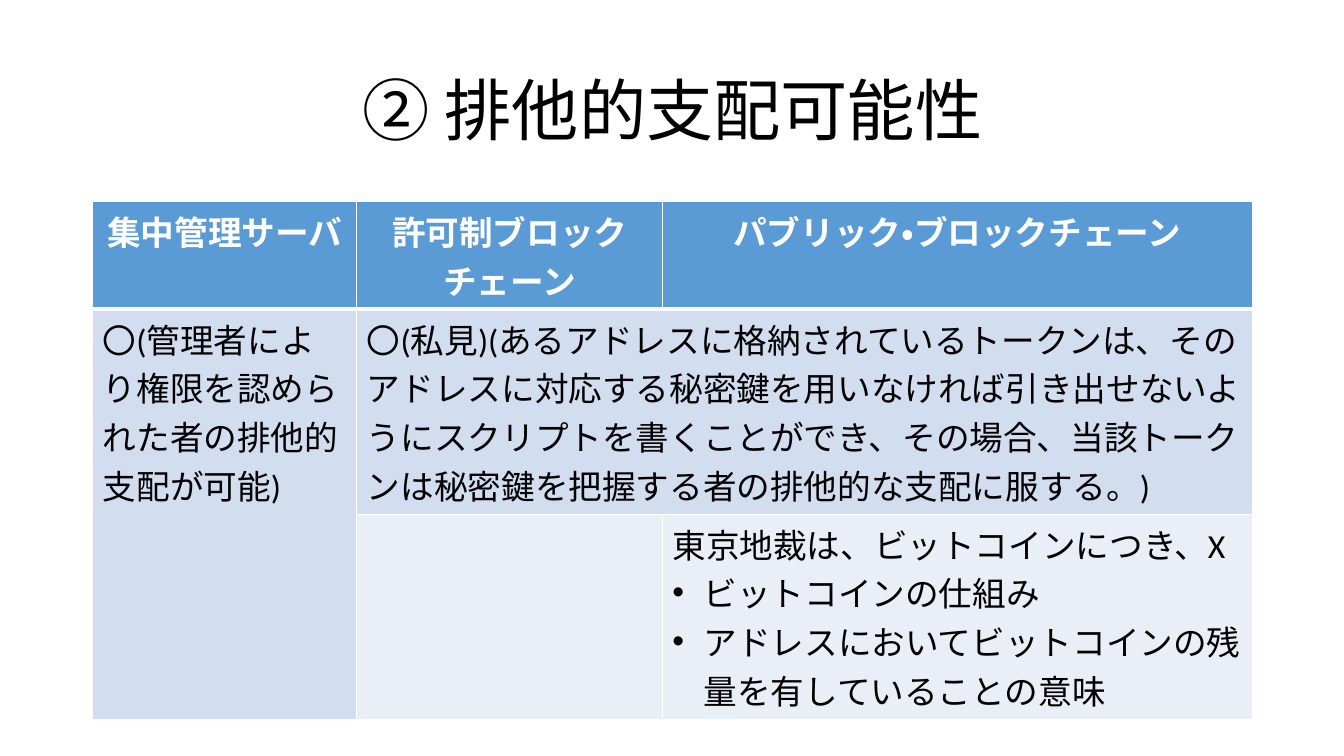
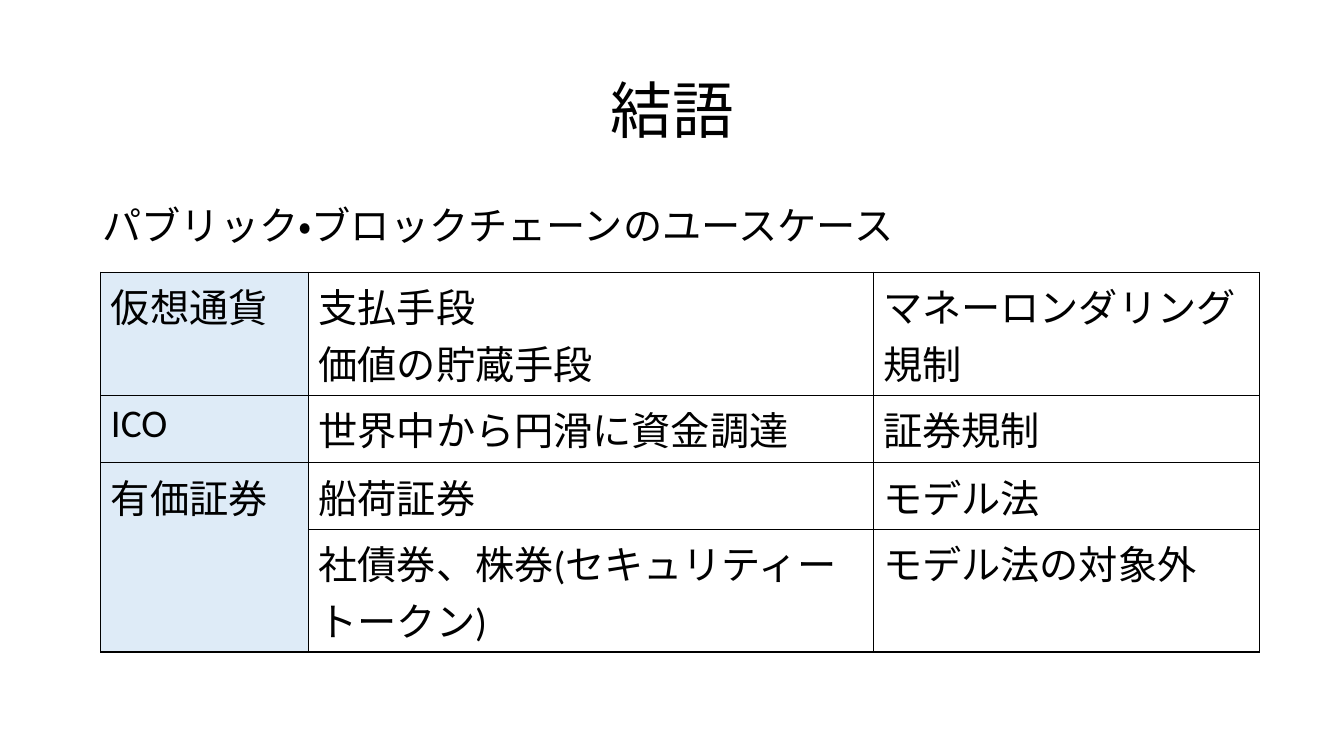
from dataclasses import dataclass

import pptx
import pptx.dml.color
import pptx.enum.lang
import pptx.enum.text
import pptx.oxml
import pptx.oxml.ns
import pptx.util
from pptx.util import Inches


@dataclass(frozen=True)
class Theme:
    font: str = "Calibri"
    bullet_font: str = "Arial"
    black: str = "000000"
    white: str = "FFFFFF"
    header: str = "5B9BD5"
    band_dark: str = "D2DEEF"
    band_light: str = "EAEFF7"
    label: str = "DEEBF7"
    cell: int = 24
    large: int = 28
    hair: int = 1
    rule: int = 3


T = Theme()
LEFT, WIDTH = 0.92, 11.5
BULLET = "• "

CONTROL = {
    "at": (LEFT, 2),
    "cols": (2.62, 3.03, 5.85),
    "rows": (0.77, 1.34, 1.32),
    "merges": [((1, 0), (2, 0)), ((1, 1), (1, 2))],
    "cells": [
        [["集中管理サーバ"], ["許可制ブロックチェーン"], ["パブリック・ブロックチェーン"]],
        [["〇(管理者により権限を認められた者の排他的支配が可能)"],
         ["〇(私見)(あるアドレスに格納されているトークンは、そのアドレスに対応する"
          "秘密鍵を用いなければ引き出せないようにスクリプトを書くことができ、その場合、"
          "当該トークンは秘密鍵を把握する者の排他的な支配に服する。)"], []],
        [[], [], ["東京地裁は、ビットコインにつき、X",
                  BULLET + "ビットコインの仕組み",
                  BULLET + "アドレスにおいてビットコインの残量を有していることの意味"]],
    ],
}

USE_CASES = {
    "at": (1, 2.7),
    "cols": (2.06, 5.6, 3.83),
    "rows": (1.22, 0.67, 0.66, 1.22),
    "merges": [((2, 0), (3, 0))],
    "cells": [
        [["仮想通貨"], ["支払手段", "価値の貯蔵手段"], ["マネーロンダリング規制"]],
        [["ICO"], ["世界中から円滑に資金調達"], ["証券規制"]],
        [["有価証券"], ["船荷証券"], ["モデル法"]],
        [[], ["社債券、株券(セキュリティートークン)"], ["モデル法の対象外"]],
    ],
}


def control_style(row, col):
    if row == 0:
        return {"fill": T.header, "color": T.white, "bold": True, "center": True,
                "size": T.cell, "line": T.white, "bottom": T.rule}
    fill = T.band_dark if row == 1 or col == 0 else T.band_light
    return {"fill": fill, "size": T.cell, "line": T.white}


def use_case_style(row, col):
    return {"fill": T.label if col == 0 else None, "size": T.large, "line": T.black}


def rgb(value):
    return pptx.dml.color.RGBColor.from_string(value)


def set_font(p, size, color=T.black, bold=False):
    p.font.name = T.font
    p.font.size = pptx.util.Pt(size)
    p.font.color.rgb = rgb(color)
    p.font.bold = bold
    for r in p.runs:
        r.font.language_id = pptx.enum.lang.MSO_LANGUAGE_ID.JAPANESE


def set_bullet(p):
    pPr = p._p.get_or_add_pPr()
    indent = Inches(0.31)
    pPr.set("marL", str(indent))
    pPr.set("indent", str(-indent))
    ns = pptx.oxml.ns.nsdecls("a")
    for xml in (f'<a:buFont {ns} typeface="{T.bullet_font}"/>',
                f'<a:buChar {ns} char="•"/>'):
        pPr.insert_element_before(pptx.oxml.parse_xml(xml),
                                  "a:tabLst", "a:defRPr", "a:extLst")


def set_borders(cell, color, bottom):
    tcPr = cell._tc.get_or_add_tcPr()
    for i, side in enumerate("LRTB"):
        width = pptx.util.Pt(bottom if side == "B" else T.hair)
        tcPr.insert(i, pptx.oxml.parse_xml(
            f'<a:ln{side} {pptx.oxml.ns.nsdecls("a")} w="{width}"><a:solidFill>'
            f'<a:srgbClr val="{color}"/></a:solidFill></a:ln{side}>'))


def fill_cell(cell, lines, fill, size, line, color=T.black, bold=False,
              center=False, bottom=T.hair):
    if fill:
        cell.fill.solid()
        cell.fill.fore_color.rgb = rgb(fill)
    else:
        cell.fill.background()
    set_borders(cell, line, bottom)
    tf = cell.text_frame
    tf.text = "\n".join(text.removeprefix(BULLET) for text in lines)
    for i, p in enumerate(tf.paragraphs):
        set_font(p, size, color, bold)
        if center:
            p.alignment = pptx.enum.text.PP_ALIGN.CENTER
        if lines and lines[i].startswith(BULLET):
            set_bullet(p)


def add_grid(s, grid, style):
    cols, rows = grid["cols"], grid["rows"]
    left, top = map(Inches, grid["at"])
    table = s.shapes.add_table(len(rows), len(cols), left, top,
                               Inches(sum(cols)), Inches(sum(rows))).table
    table.first_row = table.horz_banding = False
    for column, width in zip(table.columns, cols):
        column.width = Inches(width)
    for row, height in zip(table.rows, rows):
        row.height = Inches(height)
    for r, row in enumerate(grid["cells"]):
        for c, lines in enumerate(row):
            fill_cell(table.cell(r, c), lines, **style(r, c))
    for first, last in grid["merges"]:
        table.cell(*first).merge(table.cell(*last))


def add_slide(prs, title, size):
    s = prs.slides.add_slide(prs.slide_layouts[5])
    sp = s.shapes.title
    sp.left, sp.top, sp.width, sp.height = map(Inches, (LEFT, 0.4, WIDTH, 1.45))
    tf = sp.text_frame
    tf.text = title
    tf.vertical_anchor = pptx.enum.text.MSO_ANCHOR.MIDDLE
    p = tf.paragraphs[0]
    p.alignment = pptx.enum.text.PP_ALIGN.CENTER
    p.line_spacing = 0.9
    set_font(p, size)
    return s


def add_lead(s, text):
    sp = s.shapes.add_textbox(*map(Inches, (LEFT, 2, WIDTH, 0.6)))
    tf = sp.text_frame
    tf.word_wrap = True
    tf.text = text
    p = tf.paragraphs[0]
    p.line_spacing = 0.9
    p.space_before = pptx.util.Pt(10)
    set_font(p, T.large)


def main():
    prs = pptx.Presentation()
    prs.slide_width, prs.slide_height = Inches(13.33), Inches(7.5)

    s = add_slide(prs, "② 排他的支配可能性", 48)
    add_grid(s, CONTROL, control_style)

    s = add_slide(prs, "結語", 44)
    add_lead(s, "パブリック・ブロックチェーンのユースケース")
    add_grid(s, USE_CASES, use_case_style)

    prs.save("out.pptx")


if __name__ == "__main__":
    main()
